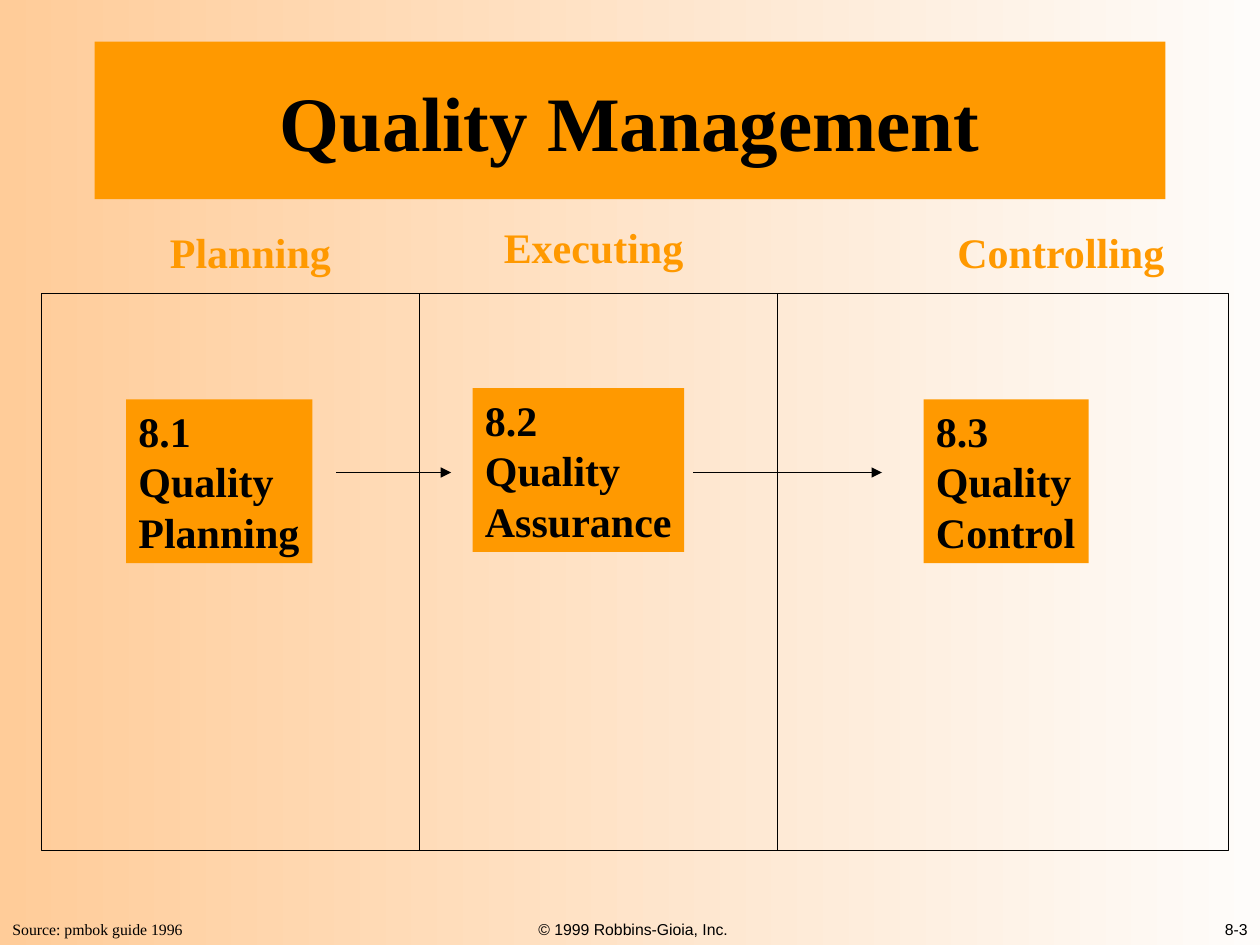
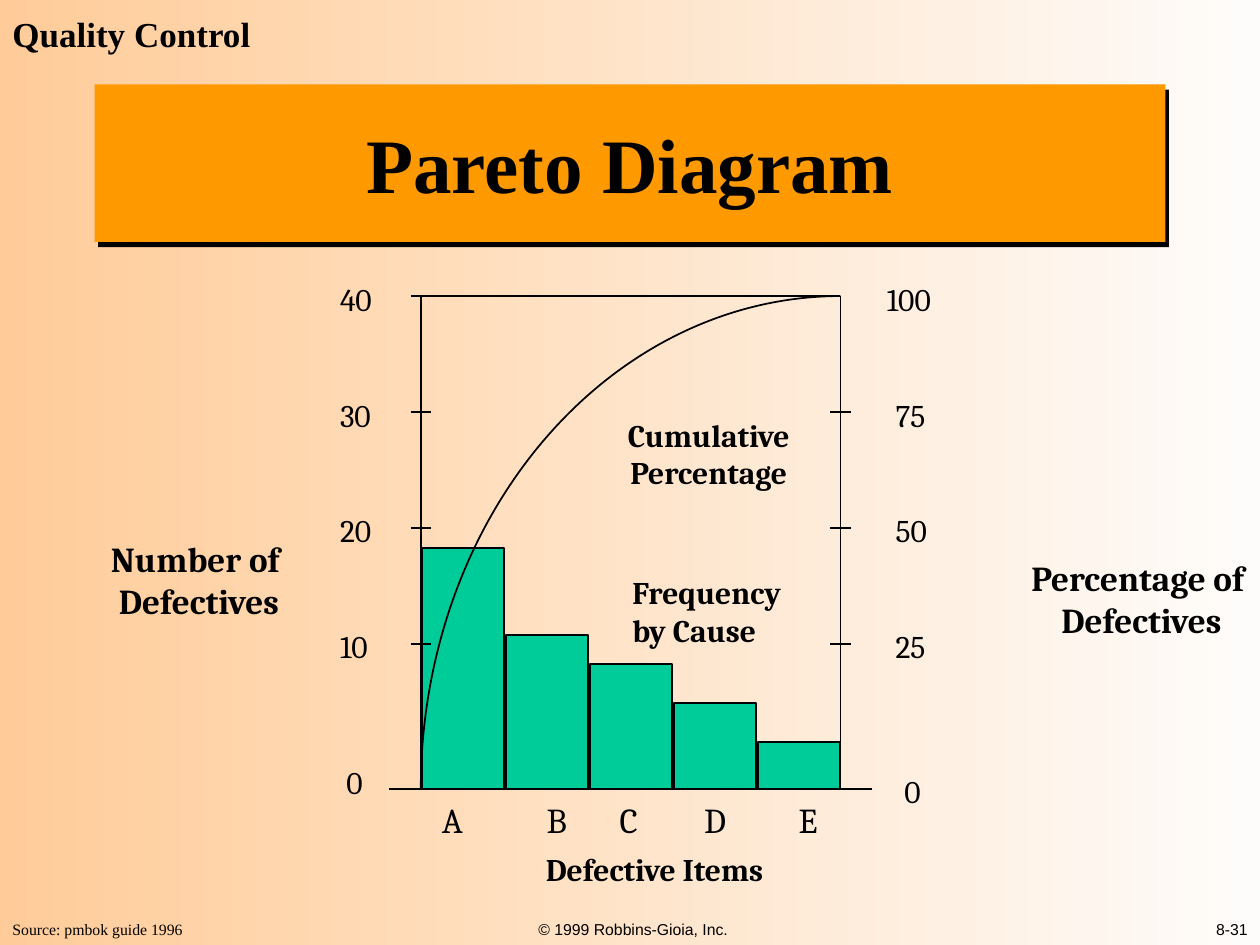
import pptx
import pptx.dml.color
import pptx.enum.dml
import pptx.enum.shapes
import pptx.enum.text
import pptx.oxml
import pptx.oxml.ns
import pptx.util

Inches = pptx.util.Inches
Pt = pptx.util.Pt
RGBColor = pptx.dml.color.RGBColor
Align = pptx.enum.text.PP_ALIGN
Anchor = pptx.enum.text.MSO_ANCHOR
AutoSize = pptx.enum.text.MSO_AUTO_SIZE
Shape = pptx.enum.shapes.MSO_SHAPE
DRAWING = pptx.oxml.ns.nsdecls("a")


class Theme:
    ink = RGBColor.from_string("000000")
    orange = RGBColor.from_string("FF9900")
    green = RGBColor.from_string("00CC99")
    background_right = RGBColor.from_string("FEFCFA")
    background_left = RGBColor.from_string("FFCC99")
    serif, sans, chart_font = "Times New Roman", "Arial", "Cambria"
    title_size, process_size, label_size, scale_size, footer_size = 44, 24, 20, 18, 9
    frame_line, chart_line = 0.75, 1


def add_text(slide, text, box, size, font=Theme.serif, bold=False, color=Theme.ink,
             align=Align.LEFT, anchor=Anchor.TOP, wrap=False, fill=None):
    """Add a text box that grows with its text unless it wraps."""
    shape = slide.shapes.add_textbox(*(Inches(length) for length in box))
    if fill is not None:
        shape.fill.solid()
        shape.fill.fore_color.rgb = fill
    text_frame = shape.text_frame
    text_frame.word_wrap = wrap
    text_frame.auto_size = AutoSize.NONE if wrap else AutoSize.SHAPE_TO_FIT_TEXT
    text_frame.vertical_anchor = anchor
    text_frame.text = text
    for paragraph in text_frame.paragraphs:
        paragraph.alignment = align
        for run in paragraph.runs:
            run.font.name = font
            run.font.size = Pt(size)
            run.font.bold = bold
            run.font.color.rgb = color


def add_line(slide, start, end, width, arrow=False):
    connector = slide.shapes.add_connector(
        pptx.enum.shapes.MSO_CONNECTOR.STRAIGHT,
        *(Inches(length) for length in (*start, *end)))
    connector.line.color.rgb = Theme.ink
    connector.line.width = Pt(width)
    properties = connector._element.spPr
    if arrow:
        line = properties.find(pptx.oxml.ns.qn("a:ln"))
        line.append(pptx.oxml.parse_xml(f'<a:tailEnd {DRAWING} type="triangle"/>'))
    properties.append(pptx.oxml.parse_xml(f"<a:effectLst {DRAWING}/>"))


presentation = pptx.Presentation()
presentation.slide_width = Inches(10)
presentation.slide_height = Inches(7.5)

# Shared background, title band and footers
background = presentation.slide_master.background.fill
background.gradient()
background.gradient_angle = 180
for stop, position, color in zip(background.gradient_stops, (0, 1),
                                 (Theme.background_right, Theme.background_left)):
    stop.position = position
    stop.color.rgb = color

slides = []
for title_text, title_top, page in (("Quality Management", 0.33, "8-3"),
                                    ("Pareto Diagram", 0.67, "8-31")):
    slide = presentation.slides.add_slide(presentation.slide_layouts[5])
    slides.append(slide)
    title = slide.shapes.title
    title.left, title.top = Inches(0.75), Inches(title_top)
    title.width, title.height = Inches(8.5), Inches(1.25)
    title.fill.solid()
    title.fill.fore_color.rgb = Theme.orange
    title.shadow.inherit = False
    title.text_frame.text = title_text
    title.text_frame.auto_size = AutoSize.NONE
    title.text_frame.vertical_anchor = Anchor.MIDDLE
    paragraph = title.text_frame.paragraphs[0]
    paragraph.alignment = Align.CENTER
    font = paragraph.runs[0].font
    font.name, font.size, font.bold = Theme.serif, Pt(Theme.title_size), True
    font.color.rgb = Theme.ink

    add_text(slide, "Source: pmbok guide 1996", (0, 7.25, 1.55, 0.25), Theme.footer_size)
    for text, left, align in (("© 1999 Robbins-Gioia, Inc.", 3.4, Align.CENTER),
                              (page, 6.75, Align.RIGHT)):
        add_text(slide, text, (left, 7, 3.25, 0.5), Theme.footer_size, Theme.sans,
                 align=align, anchor=Anchor.BOTTOM, wrap=True)

process_slide, pareto_slide = slides

# Quality Management: three process groups
frame_left, frame_top, frame_width, frame_height = 0.33, 2.33, 9.42, 4.42
frame = process_slide.shapes.add_shape(
    Shape.RECTANGLE, Inches(frame_left), Inches(frame_top),
    Inches(frame_width), Inches(frame_height))
frame.shadow.inherit = False
frame.fill.background()
frame.line.color.rgb = Theme.ink
frame.line.width = Pt(Theme.frame_line)
for divider in (3.33, 6.17):
    add_line(process_slide, (divider, frame_top), (divider, frame_top + frame_height),
             Theme.frame_line)

for heading, left, top, width in (("Planning", 1.25, 1.75, 1.48),
                                  ("Executing", 3.9, 1.71, 1.63),
                                  ("Controlling", 7.5, 1.75, 1.85)):
    add_text(process_slide, heading, (left, top, width, 0.5), Theme.process_size,
             bold=True, color=Theme.orange)
for process, left, top, width in (("8.1\nQuality\nPlanning", 1, 3.17, 1.48),
                                  ("8.2\nQuality\nAssurance", 3.75, 3.08, 1.68),
                                  ("8.3\nQuality\nControl", 7.33, 3.17, 1.31)):
    add_text(process_slide, process, (left, top, width, 1.3), Theme.process_size,
             bold=True, fill=Theme.orange)
for start, end in ((2.67, 3.58), (5.5, 7)):
    add_line(process_slide, (start, 3.75), (end, 3.75), Theme.frame_line, arrow=True)

# Pareto Diagram: title shadow and section name
effects = pareto_slide.shapes.title._element.spPr.find(pptx.oxml.ns.qn("a:effectLst"))
effects.append(pptx.oxml.parse_xml(
    f'<a:outerShdw {DRAWING} dist="{Pt(3.6)}" dir="{56 * 60000}" algn="ctr" rotWithShape="0">'
    '<a:srgbClr val="000000"/></a:outerShdw>'))
add_text(pareto_slide, "Quality Control", (0, 0.05, 2.09, 0.44), Theme.label_size, bold=True)

# Axes, bars and ticks
plot_left, plot_right, plot_top, plot_bottom = 3.34, 6.67, 2.35, 6.26
plot_width, plot_height = plot_right - plot_left, plot_bottom - plot_top
tick_gap, tick_reach = 0.92, 0.08
for start, end in (((plot_left, plot_top), (plot_left, plot_bottom)),
                   ((plot_right, plot_top), (plot_right, plot_bottom)),
                   ((plot_left, plot_top), (plot_right, plot_top)),
                   ((3.09, plot_bottom), (6.92, plot_bottom))):
    add_line(pareto_slide, start, end, Theme.chart_line)

bars = (("A", 1.91, 3.41), ("B", 1.22, 4.24), ("C", 0.99, 4.82),
        ("D", 0.68, 5.49), ("E", 0.37, 6.24))
for index, (cause, height, label_left) in enumerate(bars):
    bar = pareto_slide.shapes.add_shape(
        Shape.RECTANGLE, Inches(plot_left + 0.01 + index * plot_width / len(bars)),
        Inches(plot_bottom - height), Inches(0.65), Inches(height))
    bar.shadow.inherit = False
    bar.fill.solid()
    bar.fill.fore_color.rgb = Theme.green
    bar.line.color.rgb = Theme.ink
    bar.line.width = Pt(Theme.chart_line)
    add_text(pareto_slide, cause, (label_left, 6.29, 0.4, 0.43), Theme.label_size,
             Theme.chart_font)

for index, (count, percentage) in enumerate(
        (("40", "100"), ("30", "75"), ("20", "50"), ("10", "25"))):
    tick_top = plot_top + index * tick_gap
    for axis in (plot_left, plot_right) if index else (plot_left,):
        add_line(pareto_slide, (axis - tick_reach, tick_top), (axis + tick_reach, tick_top),
                 Theme.chart_line)
    for text, left, width in ((count, 2.6, 0.48),
                              (percentage, 7.01 if index else 6.94, 0.48 if index else 0.62)):
        add_text(pareto_slide, text, (left, tick_top - 0.18, width, 0.4), Theme.scale_size,
                 Theme.chart_font)
for left, top in ((2.65, 6.01), (7.08, 6.08)):
    add_text(pareto_slide, "0", (left, top, 0.34, 0.4), Theme.scale_size, Theme.chart_font)

# Cumulative curve: the upper left quarter of an ellipse, angles in units of 5/3 degrees
curve = pareto_slide.shapes.add_shape(
    Shape.ARC, Inches(plot_left), Inches(plot_top),
    Inches(2 * plot_width), Inches(2 * plot_height))
curve.adjustments[0] = 180 * 0.6
curve.adjustments[1] = 270 * 0.6
curve.shadow.inherit = False
curve.fill.background()
curve.line.color.rgb = Theme.ink
curve.line.width = Pt(Theme.chart_line)

for text, box, size, align, wrap in (
        ("Number of \nDefectives", (0.68, 4.22, 1.8, 0.77), Theme.label_size, Align.CENTER, False),
        ("Percentage of \nDefectives", (7.96, 4.37, 2.2, 0.77), Theme.label_size, Align.CENTER, False),
        ("Cumulative\nPercentage", (4.79, 3.25, 1.67, 0.7), Theme.scale_size, Align.CENTER, False),
        ("Frequency by Cause", (4.92, 4.5, 1.6, 0.7), Theme.scale_size, Align.LEFT, True),
        ("Defective Items", (4.11, 6.7, 2.17, 0.4), Theme.scale_size, Align.CENTER, False)):
    add_text(pareto_slide, text, box, size, Theme.chart_font, bold=True, align=align, wrap=wrap)

presentation.save("out.pptx")
